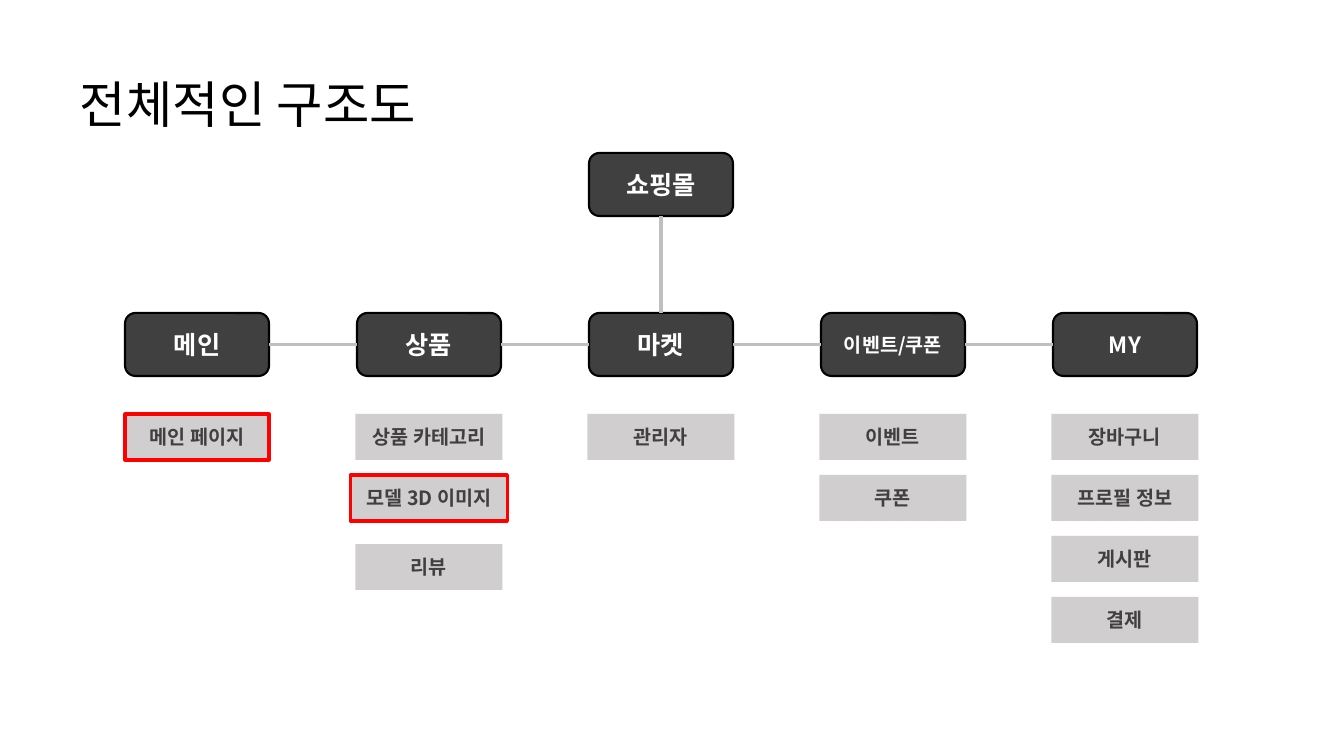
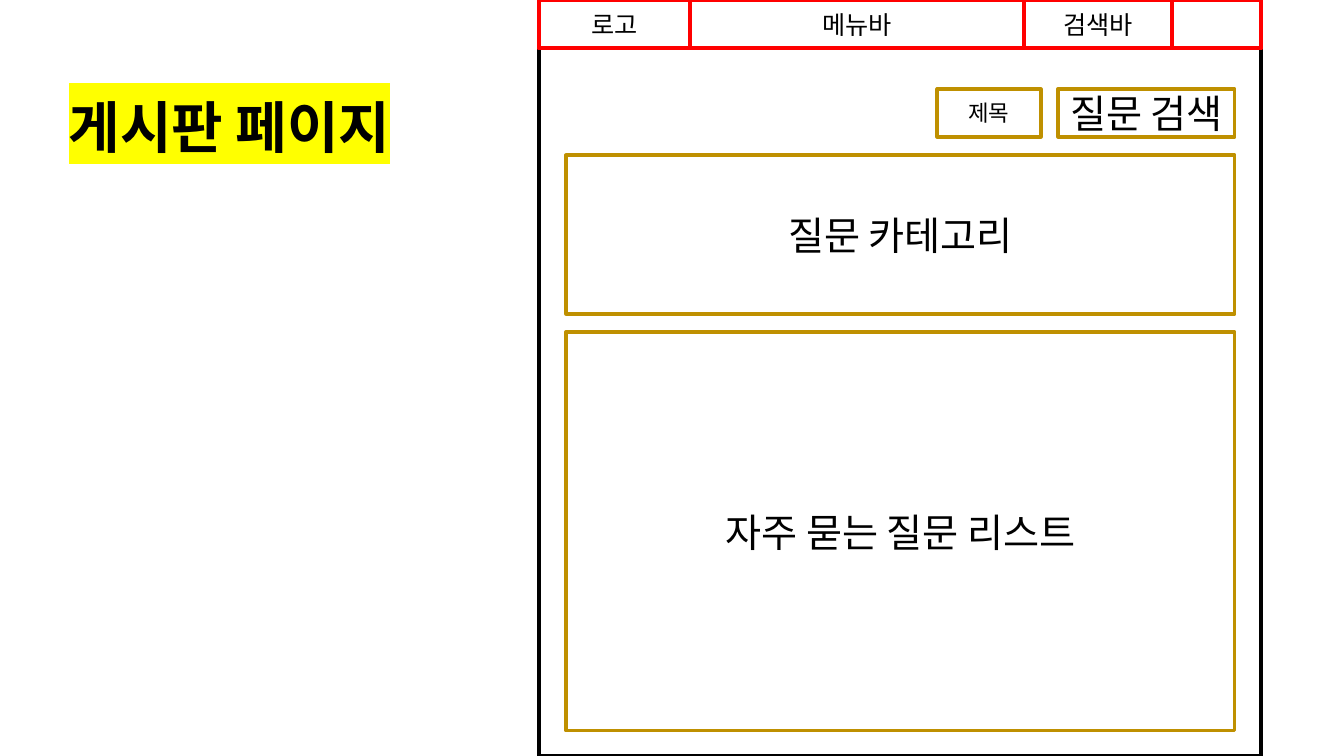
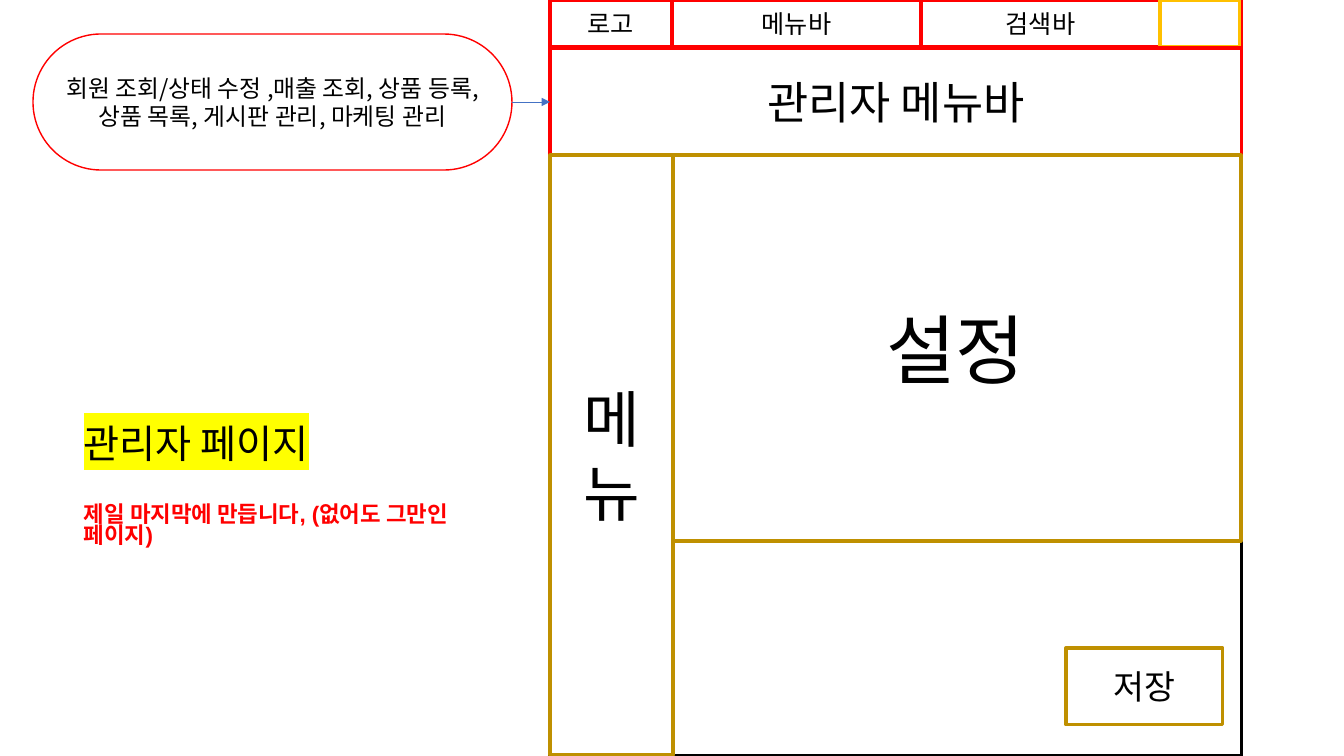
from lxml import etree
from pptx import Presentation
from pptx.dml.color import RGBColor
from pptx.enum.shapes import MSO_CONNECTOR, MSO_SHAPE
from pptx.enum.text import MSO_ANCHOR, PP_ALIGN
from pptx.oxml.ns import qn
from pptx.util import Emu, Pt

RECT, ROUND = MSO_SHAPE.RECTANGLE, MSO_SHAPE.ROUNDED_RECTANGLE
STRAIGHT = MSO_CONNECTOR.STRAIGHT
TOP, MIDDLE = MSO_ANCHOR.TOP, MSO_ANCHOR.MIDDLE
LEFT, CENTER = PP_ALIGN.LEFT, PP_ALIGN.CENTER
SIDE_TOP, SIDE_LEFT, SIDE_BOTTOM, SIDE_RIGHT = range(4)

SLIDE_W, SLIDE_H = 1344, 756
SCALE = 12192000 / SLIDE_W
FONT, TITLE_FONT = "Noto Sans CJK KR", "Arial"
BLACK, WHITE, RED, GOLD, AMBER = "000000", "FFFFFF", "FF0000", "BF9000", "FFC000"
DARK, GREY, RULE, BLUE, YELLOW = "404040", "D0CECE", "BFBFBF", "4472C4", "FFFF00"

NODE_W, NODE_H, NODE_STEP = 144, 63, 232
PAGE_W, PAGE_H, PAGE_STEP = 147, 46, 61
SITE_MAP = [
    ("메인", 18, ["메인 페이지"]),
    ("상품", 18, ["상품 카테고리", "모델 3D 이미지", "리뷰"]),
    ("마켓", 18, ["관리자"]),
    ("이벤트/쿠폰", 14, ["이벤트", "쿠폰"]),
    ("MY", 16, ["장바구니", "프로필 정보", "게시판", "결제"]),
]
HIGHLIGHTED = {"메인 페이지": 144, "모델 3D 이미지": 157}
LOWERED = {"리뷰": 8}


def px(length):
    return Emu(round(length * SCALE))


def rgb(color):
    return RGBColor.from_string(color)


def write(paragraph, text, size, color=BLACK, bold=False, font=FONT, highlight=None):
    run = paragraph.add_run()
    run.text = text
    run.font.size = Pt(size)
    run.font.bold = bold
    run.font.color.rgb = rgb(color)
    props = run.font._element
    if highlight:
        mark = etree.SubElement(props, qn("a:highlight"))
        etree.SubElement(mark, qn("a:srgbClr"), val=highlight)
    run.font.name = font
    etree.SubElement(props, qn("a:ea"), typeface=FONT)


def add_box(slide, box, fill=None, line=None, width=2.25, label="", size=18,
            color=BLACK, bold=False, kind=RECT):
    shape = slide.shapes.add_shape(kind, *map(px, box))
    shape.shadow.inherit = False
    if fill:
        shape.fill.solid()
        shape.fill.fore_color.rgb = rgb(fill)
    else:
        shape.fill.background()
    if line:
        shape.line.color.rgb = rgb(line)
        shape.line.width = Pt(width)
    else:
        shape.line.fill.background()
    if label:
        frame = shape.text_frame
        frame.word_wrap = True
        frame.vertical_anchor = MIDDLE
        for index, text in enumerate(label.split("\n")):
            paragraph = frame.add_paragraph() if index else frame.paragraphs[0]
            paragraph.alignment = CENTER
            write(paragraph, text, size, color, bold)
    return shape


def link(slide, start, start_side, end, end_side, color, width, arrow=False):
    connector = slide.shapes.add_connector(STRAIGHT, 0, 0, 0, 0)
    connector.begin_connect(start, start_side)
    connector.end_connect(end, end_side)
    connector.line.color.rgb = rgb(color)
    connector.line.width = Pt(width)
    if arrow:
        etree.SubElement(connector.line._get_or_add_ln(), qn("a:tailEnd"), type="triangle")
    etree.SubElement(connector._element.spPr, qn("a:effectLst"))


def add_title(slide, box, text, size, anchor=MIDDLE, **style):
    frame = slide.shapes.add_textbox(*map(px, box)).text_frame
    frame.word_wrap = True
    frame.vertical_anchor = anchor
    paragraph = frame.paragraphs[0]
    paragraph.alignment = LEFT
    write(paragraph, text, size, **style)
    return frame


def add_node(slide, left, top, label, size=18):
    return add_box(slide, (left, top, NODE_W, NODE_H), DARK, BLACK, 1.5,
                   label, size, WHITE, True, ROUND)


def add_pages(slide, center, top, pages):
    for row, page in enumerate(pages):
        width = HIGHLIGHTED.get(page, PAGE_W)
        outline = RED if page in HIGHLIGHTED else None
        y = top + row * PAGE_STEP + LOWERED.get(page, 0)
        add_box(slide, (center - width / 2, y, width, PAGE_H), GREY, outline,
                label=page, size=14, color=DARK, bold=True)


def add_site_map(slide, left, top):
    root = add_node(slide, left + 2 * NODE_STEP, top, "쇼핑몰")
    nodes = []
    for column, (name, size, pages) in enumerate(SITE_MAP):
        x = left + column * NODE_STEP
        nodes.append(add_node(slide, x, top + 160, name, size))
        add_pages(slide, x + NODE_W / 2, top + 261, pages)
    link(slide, root, SIDE_BOTTOM, nodes[2], SIDE_TOP, RULE, 2.25)
    for node, neighbour in zip(nodes, nodes[1:]):
        link(slide, node, SIDE_RIGHT, neighbour, SIDE_LEFT, RULE, 2.25)


def add_page_frame(slide, left, width, cells, bar_height):
    add_box(slide, (left, 6, width, SLIDE_H - 6), WHITE, BLACK)
    add_box(slide, (left, 1, width, bar_height), WHITE, RED)
    x = left
    for label, cell_width, line in cells:
        add_box(slide, (x, 0, cell_width, bar_height), WHITE, line, label=label)
        x += cell_width


def add_gold_boxes(slide, left, top, panels):
    for (x, y, width, height), label, size in panels:
        add_box(slide, (left + x, top + y, width, height), WHITE, GOLD,
                label=label, size=size)


def build_structure(slide):
    add_site_map(slide, 125, 153)
    add_title(slide, (70, 68, 400, 72), "전체적인 구조도", 36, TOP)


def build_board(slide):
    left = 539
    add_page_frame(slide, left, 722, [
        ("로고", 151, RED), ("메뉴바", 334, RED), ("검색바", 148, RED), ("", 89, RED)], 48)
    add_gold_boxes(slide, left, 89, [
        ((398, 0, 104, 48), "제목", 16),
        ((519, 0, 177, 48), "질문 검색", 28),
        ((27, 66, 669, 159), "질문 카테고리", 28),
        ((27, 243, 669, 399), "자주 묻는 질문 리스트", 28)])
    frame = add_title(slide, (59, 57, 430, 146), "게시판 페이지", 40,
                      bold=True, font=TITLE_FONT, highlight=YELLOW)
    frame.paragraphs[0].line_spacing = 0.9


def build_admin(slide):
    left, width = 550, 692
    add_page_frame(slide, left, width, [
        ("로고", 122, RED), ("메뉴바", 249, RED), ("검색바", 239, RED), ("", 80, AMBER)], 47)
    admin_menu = add_box(slide, (left, 48, width, 108), WHITE, RED,
                         label="관리자 메뉴바", size=32)
    add_gold_boxes(slide, left, 155, [
        ((121, 0, 570, 386), "설정", 54),
        ((0, 0, 123, 600), "메\n뉴", 44),
        ((516, 493, 157, 77), "저장", 24)])
    duties = add_box(slide, (33, 34, 479, 136), None, RED, 1,
                     "회원 조회/상태 수정 ,매출 조회, 상품 등록, 상품 목록, 게시판 관리, 마케팅 관리",
                     17, kind=ROUND)
    duties.adjustments[0] = 0.5
    link(slide, duties, SIDE_RIGHT, admin_menu, SIDE_LEFT, BLUE, 0.5, arrow=True)
    frame = add_title(slide, (74, 420, 427, 160), "관리자 페이지", 28, TOP,
                      font=TITLE_FONT, highlight=YELLOW)
    frame.paragraphs[0].line_spacing = 0.9
    remark = frame.add_paragraph()
    remark.line_spacing = 0.8
    remark.space_before = Pt(27)
    write(remark, "제일 마지막에 만듭니다, (없어도 그만인 페이지)", 16, RED, True, TITLE_FONT)


def main():
    deck = Presentation()
    deck.slide_width, deck.slide_height = px(SLIDE_W), px(SLIDE_H)
    for build in (build_structure, build_board, build_admin):
        build(deck.slides.add_slide(deck.slide_layouts[6]))
    deck.save("out.pptx")


if __name__ == "__main__":
    main()
